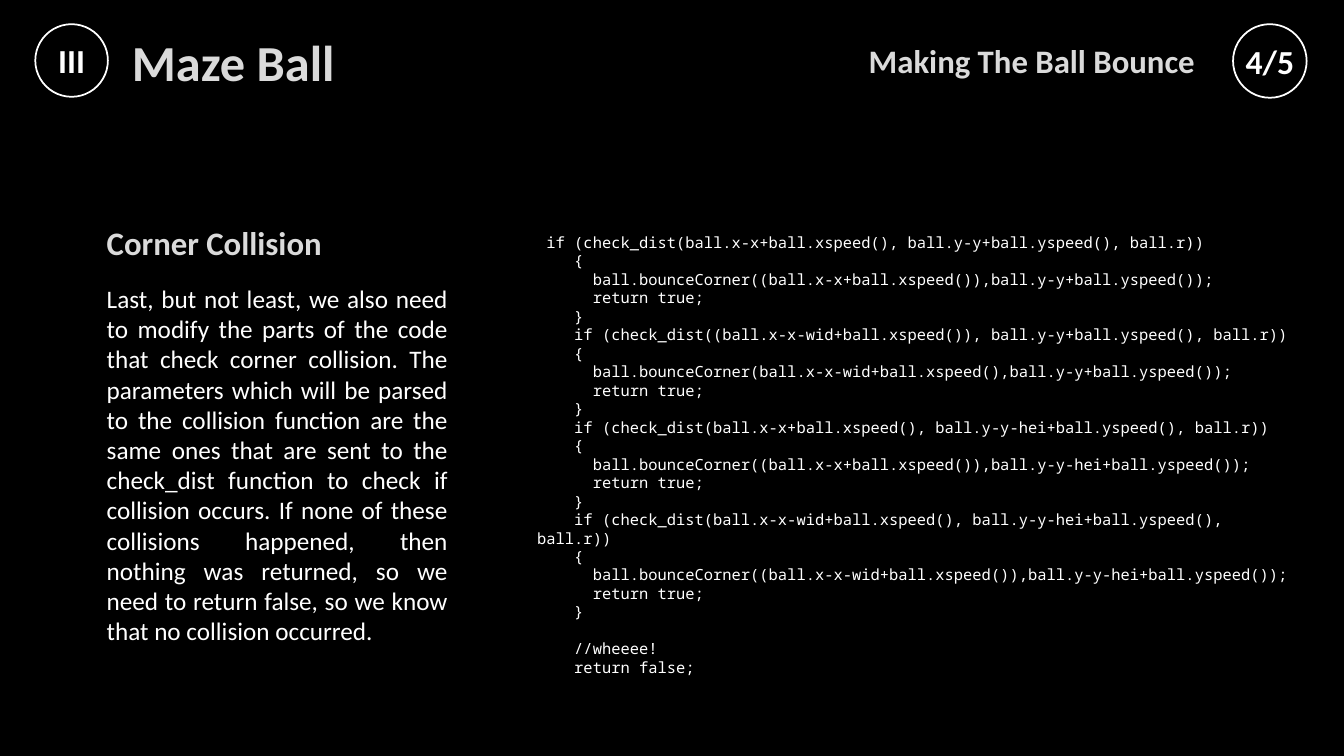
from dataclasses import dataclass

from lxml.etree import SubElement
from pptx import Presentation
from pptx.dml.color import RGBColor as Color
from pptx.enum.shapes import MSO_SHAPE as Shape
from pptx.enum.text import MSO_ANCHOR as Anchor, MSO_AUTO_SIZE as AutoSize, PP_ALIGN as Align
from pptx.oxml.ns import qn
from pptx.util import Inches, Pt


@dataclass(frozen=True)
class Theme:
    background: str = "000000"
    text: str = "FFFFFF"
    heading: str = "DADADA"
    outline: str = "404040"
    sans: str = "Calibri"
    mono: str = "Noto Sans Mono"
    title_size: float = 36
    badge_size: float = 24
    heading_size: float = 23.4
    body_size: float = 18
    code_size: float = 11
    ring_width: float = 1.25
    outline_width: float = 0.75


THEME = Theme()

EXPLANATION = (
    "Last, but not least, we also need to modify the parts of the code that check "
    "corner collision. The parameters which will be parsed to the collision function "
    "are the same ones that are sent to the check_dist function to check if collision "
    "occurs. If none of these collisions happened, then nothing was returned, so we "
    "need to return false, so we know that no collision occurred."
)

CORNER_CHECKS = [
    ("ball.x-x+ball.xspeed(), ball.y-y+ball.yspeed()",
     "(ball.x-x+ball.xspeed()),ball.y-y+ball.yspeed()"),
    ("(ball.x-x-wid+ball.xspeed()), ball.y-y+ball.yspeed()",
     "ball.x-x-wid+ball.xspeed(),ball.y-y+ball.yspeed()"),
    ("ball.x-x+ball.xspeed(), ball.y-y-hei+ball.yspeed()",
     "(ball.x-x+ball.xspeed()),ball.y-y-hei+ball.yspeed()"),
    ("ball.x-x-wid+ball.xspeed(), ball.y-y-hei+ball.yspeed()",
     "(ball.x-x-wid+ball.xspeed()),ball.y-y-hei+ball.yspeed()"),
]


def set_all(target, values):
    for name, value in values.items():
        setattr(target, name, value)


def write(shape, lines, size, color=THEME.text, font=THEME.sans, bold=False,
          align=Align.LEFT, **frame_format):
    frame = shape.text_frame
    set_all(frame, {"word_wrap": True, **frame_format})
    for index, line in enumerate(lines):
        para = frame.paragraphs[0] if index == 0 else frame.add_paragraph()
        para.alignment = align
        run = para.add_run()
        run.text = line
        set_all(run.font, {"size": Pt(size), "name": font, "bold": bold})
        run.font.color.rgb = Color.from_string(color)


def add_text(page, place, lines, size, **text_format):
    box = page.shapes.add_textbox(*map(Inches, place))
    write(box, lines, size, **text_format)
    return box


def add_heading(page, place, text, size=THEME.heading_size, align=Align.LEFT):
    box = add_text(page, place, [text], size, color=THEME.heading, bold=True,
                   align=align, vertical_anchor=Anchor.MIDDLE)
    properties = box.text_frame.paragraphs[0].runs[0].font._element
    line = SubElement(properties, qn("a:ln"), w=str(Pt(THEME.outline_width)))
    properties.insert(0, line)
    fill = SubElement(line, qn("a:solidFill"))
    color = SubElement(fill, qn("a:srgbClr"), val=THEME.outline)
    SubElement(color, qn("a:alpha"), val="10000")


def add_badge(page, place, text):
    badge = page.shapes.add_shape(Shape.OVAL, *map(Inches, place))
    badge.shadow.inherit = False
    badge.fill.background()
    badge.line.color.rgb = Color.from_string(THEME.text)
    badge.line.width = Pt(THEME.ring_width)
    margins = {f"margin_{side}": 0 for side in ("left", "top", "right", "bottom")}
    write(badge, [text], THEME.badge_size, bold=True, align=Align.CENTER,
          vertical_anchor=Anchor.MIDDLE, **margins)


def collision_code():
    lines = []
    for index, (distance, bounce) in enumerate(CORNER_CHECKS):
        indent = " " if index == 0 else "    "
        lines += [
            f"{indent}if (check_dist({distance}, ball.r))",
            "    {",
            f"      ball.bounceCorner({bounce});",
            "      return true;",
            "    }",
        ]
    return lines + ["", "    //wheeee!", "    return false;"]


def main():
    deck = Presentation()
    set_all(deck, {"slide_width": Inches(13.33), "slide_height": Inches(7.5)})
    page = deck.slides.add_slide(deck.slide_layouts[6])
    page.background.fill.solid()
    page.background.fill.fore_color.rgb = Color.from_string(THEME.background)

    add_text(page, (0.96, 2.76, 3.58, 3.74), [EXPLANATION], THEME.body_size,
             align=Align.JUSTIFY, auto_size=AutoSize.SHAPE_TO_FIT_TEXT)
    add_heading(page, (0.96, 1.96, 6.52, 0.88), "Corner Collision")
    add_text(page, (5.23, 2.26, 7.83, 4.36), collision_code(), THEME.code_size,
             font=THEME.mono, auto_size=AutoSize.SHAPE_TO_FIT_TEXT)
    add_heading(page, (1.21, 0.34, 10.32, 0.53), "Maze Ball", THEME.title_size)
    add_badge(page, (0.35, 0.24, 0.72, 0.72), "III")
    add_badge(page, (12.23, 0.24, 0.73, 0.73), "4/5")
    add_heading(page, (6.46, 0.16, 5.49, 0.88), "Making The Ball Bounce", align=Align.RIGHT)

    deck.save("out.pptx")


if __name__ == "__main__":
    main()
